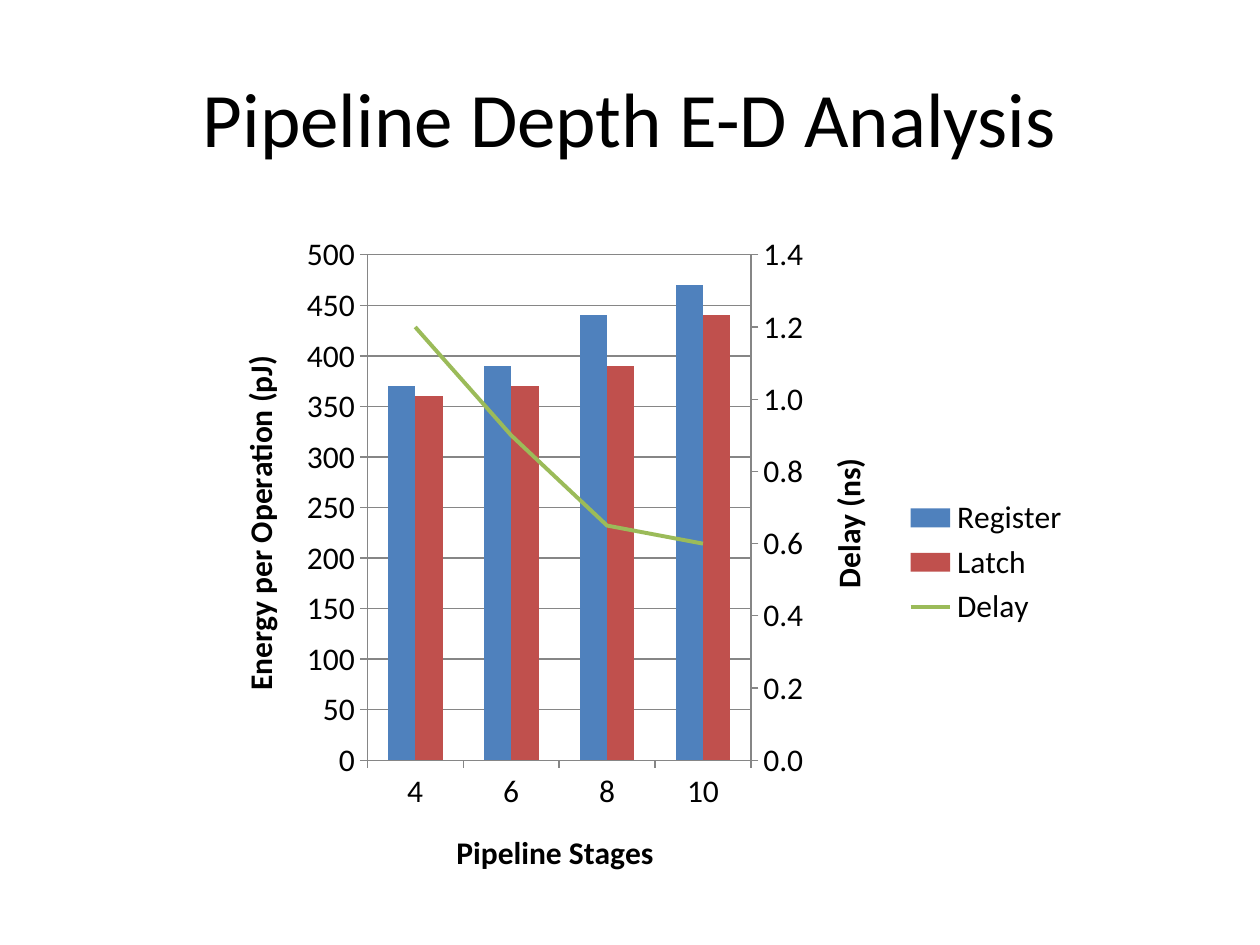
from copy import deepcopy
from pptx import Presentation
from pptx.chart.axis import ValueAxis
from pptx.chart.data import CategoryChartData as Data
from pptx.dml.color import RGBColor
from pptx.enum.chart import XL_CHART_TYPE as Kind, XL_LEGEND_POSITION as Side
from pptx.enum.chart import XL_MARKER_STYLE as Mark, XL_TICK_MARK as Tick
from pptx.enum.text import MSO_ANCHOR, PP_ALIGN
from pptx.oxml import parse_xml
from pptx.oxml.ns import nsdecls, qn
from pptx.util import Cm, Pt

BLACK = RGBColor(0, 0, 0)
GREY = RGBColor(0x86, 0x86, 0x86)
BLUE = RGBColor(0x4F, 0x81, 0xBD)
RED = RGBColor(0xC0, 0x50, 0x4D)
GREEN = RGBColor(0x9B, 0xBB, 0x59)
FONT = "Calibri"

deck = Presentation()
deck.slide_width, deck.slide_height = Cm(25.4), Cm(19.05)
slide = deck.slides.add_slide(deck.slide_layouts[5])

# Title
title = slide.shapes.title
title.left, title.top, title.width, title.height = Cm(1.27), Cm(0.76), Cm(22.86), Cm(3.18)
frame = title.text_frame
frame.vertical_anchor = MSO_ANCHOR.MIDDLE
para = frame.paragraphs[0]
para.alignment = PP_ALIGN.CENTER
run = para.add_run()
run.text = "Pipeline Depth E-D Analysis"
run.font.name, run.font.size = FONT, Pt(44)
run.font.color.rgb = BLACK

# Chart with its data
data = Data()
data.categories = ["4", "6", "8", "10"]
data.add_series("Register", (370, 390, 440, 470))
data.add_series("Latch", (360, 370, 390, 440))
data.add_series("Delay", (1.2, 0.9, 0.65, 0.6))
chart = slide.shapes.add_chart(Kind.COLUMN_CLUSTERED, Cm(4.24), Cm(4.45),
                               Cm(17.58), Cm(13.77), data).chart
chart.has_title = False
chart.font.name, chart.font.size = FONT, Pt(18)
chart.font.color.rgb = BLACK
chart.has_legend = True
chart.legend.position = Side.RIGHT
chart.legend.include_in_layout = False

# Delay moves to a line plot on a second pair of axes
bars = chart.plots[0]
bars.gap_width, bars.overlap = 150, 0
bars.vary_by_categories = False
area = chart._chartSpace.chart.plotArea
delay = area.findall(".//" + qn("c:ser"))[2]
for flag in delay.findall(qn("c:invertIfNegative")):
    delay.remove(flag)
line = parse_xml(f'<c:lineChart {nsdecls("c")}><c:grouping val="standard"/>'
                 '<c:varyColors val="0"/><c:marker val="1"/>'
                 '<c:axId val="5001"/><c:axId val="5002"/></c:lineChart>')
line.insert(2, delay)
area.find(qn("c:barChart")).addnext(line)

base, left = chart.category_axis, chart.value_axis
hidden, right = deepcopy(base._element), deepcopy(left._element)
for axis, own, other in ((hidden, "5001", "5002"), (right, "5002", "5001")):
    axis.find(qn("c:axId")).set("val", own)
    axis.find(qn("c:crossAx")).set("val", other)
hidden.find(qn("c:delete")).set("val", "1")
right.find(qn("c:axPos")).set("val", "r")
right.find(qn("c:crosses")).set("val", "max")
left._element.addnext(right)
right.addnext(hidden)
right = ValueAxis(right)

# Plot area position, as shares of the chart
for old in area.findall(qn("c:layout")):
    area.remove(old)
spots = "".join(f'<c:{key} val="{val}"/>' for key, val in (
    ("layoutTarget", "inner"), ("xMode", "edge"), ("yMode", "edge"),
    ("x", 0.18), ("y", 0.05), ("w", 0.44), ("h", 0.74)))
area.insert(0, parse_xml(f'<c:layout {nsdecls("c")}><c:manualLayout>{spots}'
                         '</c:manualLayout></c:layout>'))

# Axes
for axis, name in ((base, "Pipeline Stages"), (left, "Energy per Operation (pJ)"),
                   (right, "Delay (ns)")):
    axis.major_tick_mark, axis.minor_tick_mark = Tick.OUTSIDE, Tick.NONE
    axis.format.line.color.rgb = GREY
    axis.format.line.width = Pt(0.75)
    run = axis.axis_title.text_frame.paragraphs[0].add_run()
    run.text = name
    run.font.name, run.font.size, run.font.bold = FONT, Pt(18), True
    run.font.color.rgb = BLACK
for axis, top, step, form in ((left, 500, 50, "#,##0"), (right, 1.4, 0.2, "#,##0.0")):
    axis.minimum_scale, axis.maximum_scale, axis.major_unit = 0, top, step
    axis.tick_labels.number_format = form
    axis.tick_labels.number_format_is_linked = False
right.has_major_gridlines = False
left.has_major_gridlines = True
left.major_gridlines.format.line.color.rgb = GREY
left.major_gridlines.format.line.width = Pt(0.75)

# Series colours
for bar, hue in zip(chart.plots[0].series, (BLUE, RED)):
    bar.format.fill.solid()
    bar.format.fill.fore_color.rgb = hue
curve = chart.plots[1].series[0]
curve.format.line.color.rgb = GREEN
curve.format.line.width = Pt(2.25)
curve.marker.style = Mark.NONE
curve.smooth = False

deck.save("out.pptx")
